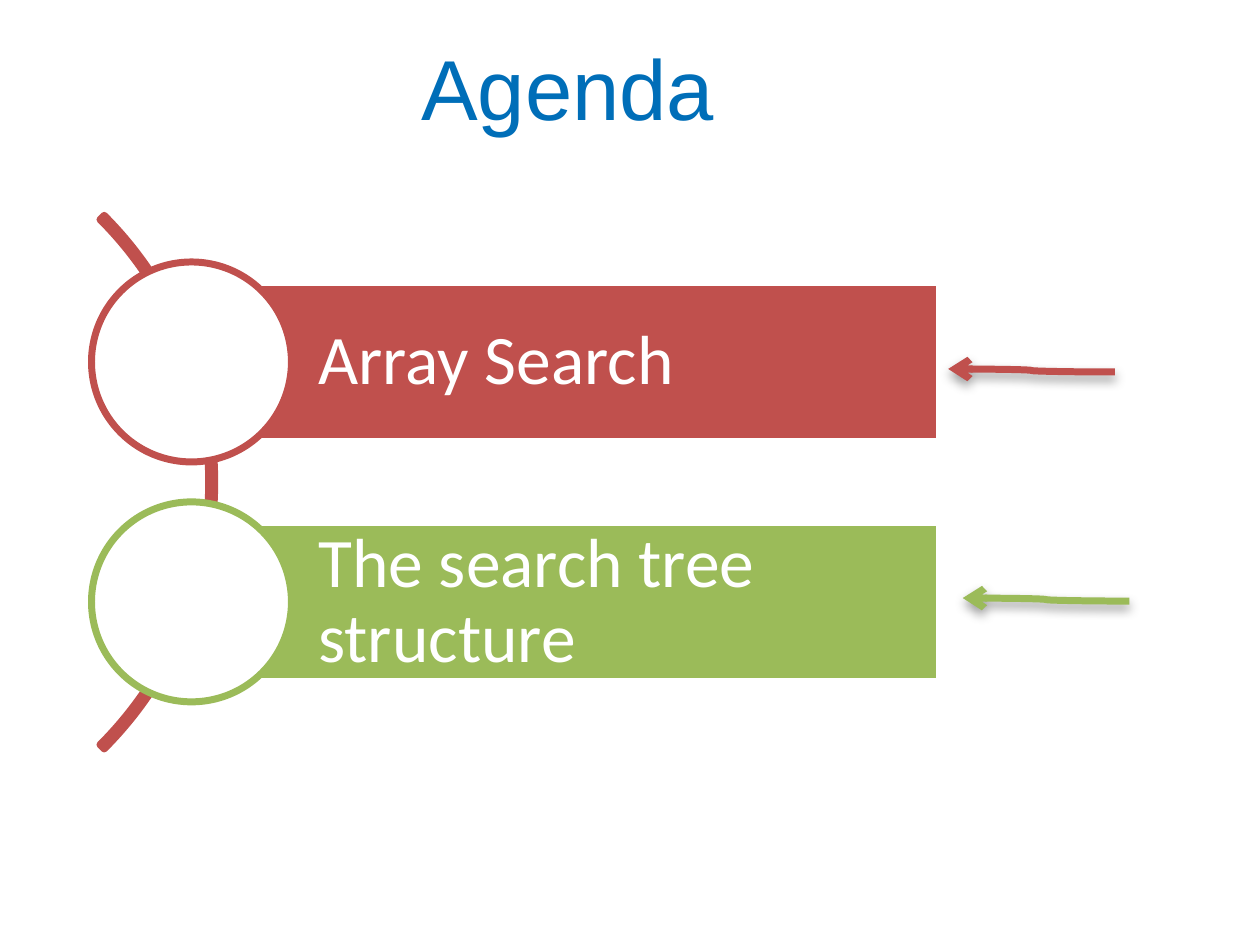
from dataclasses import dataclass

from lxml import etree
from pptx import Presentation
from pptx.dml.color import RGBColor
from pptx.enum.shapes import MSO_CONNECTOR, MSO_SHAPE
from pptx.enum.text import MSO_ANCHOR, PP_ALIGN
from pptx.oxml import parse_xml
from pptx.oxml.ns import nsdecls, qn
from pptx.util import Pt


@dataclass(frozen=True)
class Theme:
    blue: str = "006EB8"
    red: str = "C0504D"
    green: str = "9BBB59"
    white: str = "FFFFFF"
    title_font: str = "Arial"
    body_font: str = "Calibri"
    title_size: float = 24.5
    body_size: float = 20
    line_width: float = 2


THEME = Theme()

# Layout in points
BAR_LEFT, BAR_WIDTH, BAR_HEIGHT = 55.2, 215.4, 46
CIRCLE_SIZE = 57.6
FIRST_CENTRE, ROW_STEP = 104.3, 69.1
ARROW_LENGTH, ARROW_DROP = 48, 0.9

SHADOW = f"""<a:effectLst {nsdecls('a')}>
  <a:outerShdw blurRad="{Pt(3.1)}" dist="{Pt(1.6)}" dir="5400000" rotWithShape="0">
    <a:srgbClr val="000000"><a:alpha val="38000"/></a:srgbClr>
  </a:outerShdw>
</a:effectLst>"""


def apply_format(target, values):
    for name, value in values.items():
        setattr(target, name, value)


def style_line(line, color):
    line.color.rgb = RGBColor.from_string(color)
    line.width = Pt(THEME.line_width)


def write_text(shape, text, font, size, color, frame_format, line_spacing=1.0):
    frame = shape.text_frame
    apply_format(frame, frame_format)
    paragraph = frame.paragraphs[0]
    apply_format(paragraph, {"alignment": PP_ALIGN.LEFT, "line_spacing": line_spacing})
    run = paragraph.add_run()
    run.text = text
    apply_format(run.font, {"name": font, "size": Pt(size)})
    run.font.color.rgb = RGBColor.from_string(color)


def add_title(slide, text):
    box = slide.shapes.add_textbox(Pt(121.4), Pt(10.1), Pt(95.8), Pt(29.5))
    margins = dict.fromkeys(
        ("margin_left", "margin_top", "margin_right", "margin_bottom"), 0)
    write_text(box, text, THEME.title_font, THEME.title_size, THEME.blue,
               {**margins, "word_wrap": True})


def add_outlined(slide, kind, left, top, width, height, line_color, fill=None):
    shape = slide.shapes.add_shape(kind, Pt(left), Pt(top), Pt(width), Pt(height))
    shape.shadow.inherit = False
    if fill:
        shape.fill.solid()
        shape.fill.fore_color.rgb = RGBColor.from_string(fill)
    else:
        shape.fill.background()
    style_line(shape.line, line_color)
    return shape


def add_arc(slide):
    arc = add_outlined(slide, MSO_SHAPE.BLOCK_ARC, -155.5, 30.2, 217.4, 217.4, THEME.red)
    for index, value in enumerate((189, 27, 0.008)):
        arc.adjustments[index] = value


def add_topic(slide, text, centre, color):
    bar = add_outlined(slide, MSO_SHAPE.RECTANGLE, BAR_LEFT, centre - BAR_HEIGHT / 2,
                       BAR_WIDTH, BAR_HEIGHT, THEME.white, color)
    write_text(bar, text, THEME.body_font, THEME.body_size, THEME.white, {
        "margin_left": Pt(36.5), "margin_top": Pt(4), "margin_right": Pt(4),
        "margin_bottom": Pt(4), "word_wrap": True,
        "vertical_anchor": MSO_ANCHOR.MIDDLE,
    }, line_spacing=0.9)
    radius = CIRCLE_SIZE / 2
    add_outlined(slide, MSO_SHAPE.OVAL, BAR_LEFT - radius, centre - radius,
                 CIRCLE_SIZE, CIRCLE_SIZE, color, THEME.white)


def add_arrow(slide, tip_x, tip_y, color):
    arrow = slide.shapes.add_connector(
        MSO_CONNECTOR.CURVE, Pt(tip_x + ARROW_LENGTH), Pt(tip_y + ARROW_DROP),
        Pt(tip_x), Pt(tip_y))
    style_line(arrow.line, color)
    properties = arrow._element.spPr
    etree.SubElement(properties.find(qn("a:ln")), qn("a:tailEnd"), type="arrow")
    properties.append(parse_xml(SHADOW))


def main():
    presentation = Presentation()
    apply_format(presentation, {"slide_width": Pt(363), "slide_height": Pt(272.5)})
    slide = presentation.slides.add_slide(presentation.slide_layouts[6])

    add_title(slide, "Agenda")
    add_arc(slide)

    # Agenda topics, evenly spaced
    topics = (("Array Search", THEME.red), ("The search tree structure", THEME.green))
    for row, (text, color) in enumerate(topics):
        add_topic(slide, text, FIRST_CENTRE + row * ROW_STEP, color)

    # Arrows pointing at the topics
    add_arrow(slide, 273.2, 106.3, THEME.red)
    add_arrow(slide, 277.4, 172.3, THEME.green)

    presentation.save("out.pptx")


main()
